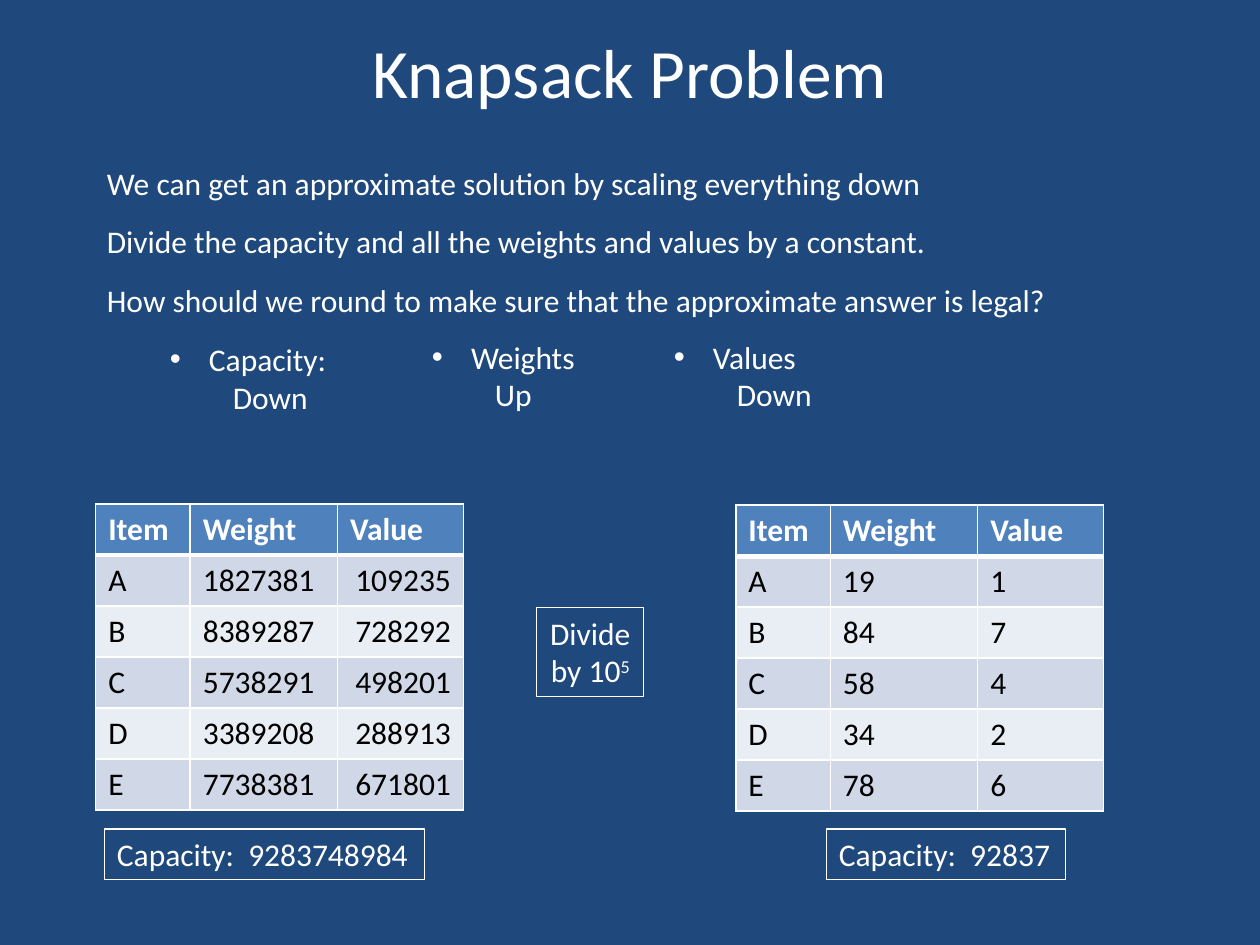
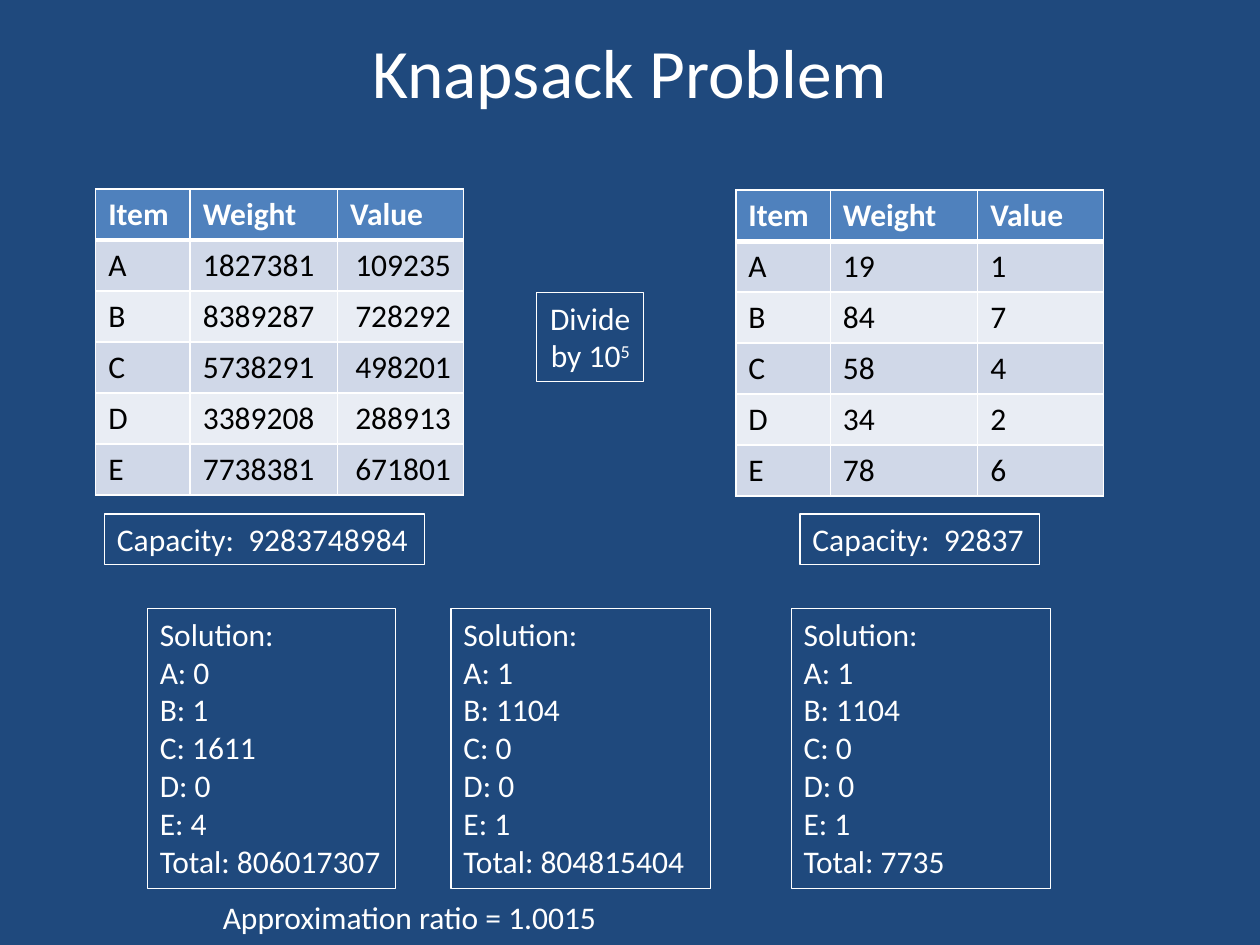
import pptx
import pptx.dml.color
import pptx.enum.shapes
import pptx.enum.text
import pptx.oxml
import pptx.oxml.ns
import pptx.util
from pptx.util import Inches

ALIGN = pptx.enum.text.PP_ALIGN
NAVY, WHITE, BLACK = "1F497D", "FFFFFF", "000000"
HEADER_FILL, BAND_FILLS = "4F81BD", ("D0D8E8", "E9EDF4")


def color(value):
    """Turn a hex string into a colour."""
    return pptx.dml.color.RGBColor.from_string(value)


def parse(tag, attributes="", content=""):
    """Make one drawing element from its tag, attributes and content."""
    namespace = pptx.oxml.ns.nsdecls("a")
    return pptx.oxml.parse_xml(f"<a:{tag} {namespace} {attributes}>{content}</a:{tag}>")


def set_borders(cell, top=1, bottom=1):
    """Draw white borders round a table cell, widths in points."""
    properties = cell._tc.get_or_add_tcPr()
    for side, width in zip("LRTB", (1, 1, top, bottom)):
        properties.append(parse(
            f"ln{side}", f'w="{pptx.util.Pt(width)}"',
            f'<a:solidFill><a:srgbClr val="{WHITE}"/></a:solidFill>'))


class KnapsackDeck:
    """Hold the deck, its style and the current slide."""

    font_name = "Calibri"
    body_size = 18

    def __init__(self):
        """Start an empty 4:3 deck."""
        self.deck = pptx.Presentation()
        self.deck.slide_width = Inches(10)
        self.deck.slide_height = Inches(7.5)
        self.page = None

    def add_page(self, title):
        """Add a navy page with a centred title."""
        self.page = self.deck.slides.add_slide(self.deck.slide_layouts[6])
        self.page.background.fill.solid()
        self.page.background.fill.fore_color.rgb = color(NAVY)
        box = self.text(title, 0.5, 0.17, 9, 0.78, size=39.6, align=ALIGN.CENTER)
        box.text_frame.vertical_anchor = pptx.enum.text.MSO_ANCHOR.MIDDLE

    def style(self, para, size=body_size, ink=WHITE, bold=False, align=None):
        """Format a paragraph and all its runs."""
        para.alignment = align or ALIGN.LEFT
        for span in para.runs:
            span.font.name = self.font_name
            span.font.size = pptx.util.Pt(size)
            span.font.bold = bold
            span.font.color.rgb = color(ink)

    def fill_text(self, box, words, wrap, **style):
        """Put styled words in a box, one paragraph a line."""
        frame = box.text_frame
        frame.text = words
        frame.word_wrap = wrap
        frame.vertical_anchor = pptx.enum.text.MSO_ANCHOR.TOP
        if not wrap:
            frame.auto_size = pptx.enum.text.MSO_AUTO_SIZE.SHAPE_TO_FIT_TEXT
        for para in frame.paragraphs:
            self.style(para, **style)
        return box

    def text(self, words, left, top, width, height, wrap=True, **style):
        """Add plain text without an outline."""
        box = self.page.shapes.add_textbox(
            Inches(left), Inches(top), Inches(width), Inches(height))
        return self.fill_text(box, words, wrap, **style)

    def framed(self, words, left, top, width, height, wrap=False, **style):
        """Add text inside a thin white outline."""
        box = self.page.shapes.add_shape(
            pptx.enum.shapes.MSO_SHAPE.RECTANGLE,
            Inches(left), Inches(top), Inches(width), Inches(height))
        box.shadow.inherit = False
        box.fill.background()
        box.line.color.rgb = color(WHITE)
        box.line.width = pptx.util.Pt(0.75)
        return self.fill_text(box, words, wrap, **style)

    def indent(self, heading, answer, margin, level=0):
        """Make a bulleted heading with its answer indented below."""
        heading.level, answer.level = level, level + 1
        properties = heading._p.get_or_add_pPr()
        properties.set("marL", str(Inches(margin)))
        properties.set("indent", str(Inches(-0.31)))
        properties.append(parse("buFont", 'typeface="Arial"'))
        properties.append(parse("buChar", 'char="•"'))
        answer._p.get_or_add_pPr().set("marL", str(Inches(margin + 0.19)))

    def bullet(self, words, left, width):
        """Add a bulleted heading and answer in a box of their own."""
        box = self.text(words, left, 2.63, width, 0.71, wrap=False)
        self.indent(*box.text_frame.paragraphs, margin=0.31)

    def table(self, rows, left, top, value_align):
        """Add an item table with a header and banded rows."""
        widths, row_height = (0.75, 1.17, 1), 0.405
        grid = self.page.shapes.add_table(
            len(rows), len(widths), Inches(left), Inches(top),
            Inches(sum(widths)), Inches(row_height * len(rows))).table
        grid.horz_banding = False
        for column, width in zip(grid.columns, widths):
            column.width = Inches(width)
        for r, row in enumerate(rows):
            header = r == 0
            for c, words in enumerate(row):
                cell = grid.cell(r, c)
                cell.text = words
                set_borders(cell, top=3 if r == 1 else 1, bottom=3 if header else 1)
                cell.fill.solid()
                cell.fill.fore_color.rgb = color(
                    HEADER_FILL if header else BAND_FILLS[(r - 1) % 2])
                self.style(cell.text_frame.paragraphs[0],
                           ink=WHITE if header else BLACK, bold=header,
                           align=value_align if c == 2 and not header else None)

    def scaling(self, top, scaled_left):
        """Show the exact and scaled problems side by side."""
        self.framed("Capacity:  9283748984", 0.83, top + 2.58, 2.54, 0.4)
        self.table(SCALED, 5.84, top + 0.01, ALIGN.LEFT)
        self.framed("Capacity:  92837", scaled_left, top + 2.58, 1.9, 0.4)
        step = self.framed("Divide\vby 10", 4.26, top + 0.82, 0.85, 0.71,
                           align=ALIGN.CENTER)
        para = step.text_frame.paragraphs[0]
        power = para.add_run()
        power.text = "5"
        self.style(para, align=ALIGN.CENTER)
        power.font._element.set("baseline", "30000")
        self.table(EXACT, 0.76, top, ALIGN.RIGHT)

    def solution(self, counts, total, left, width, wrap=True):
        """List how many of each item are taken, and the total."""
        a, b, c, d, e = (f"{item}: {count}" for item, count in zip("ABCDE", counts))
        lines = ["Solution:", "\v".join((a, b, c)), d, e, f"Total: {total}"]
        self.framed("\n".join(lines), left, 4.83, width, 2.22, wrap=wrap)


def item_rows(weights, values):
    """Join item names, weights and values under a header."""
    return [("Item", "Weight", "Value"), *zip("ABCDE", weights.split(), values.split())]


EXACT = item_rows("1827381 8389287 5738291 3389208 7738381",
                  "109235 728292 498201 288913 671801")
SCALED = item_rows("19 84 58 34 78", "1 7 4 2 6")
TITLE = "Knapsack Problem"

show = KnapsackDeck()

# Rounding
show.add_page(TITLE)
body = show.text(
    "We can get an approximate solution by scaling everything down\n"
    "Divide the capacity and all the weights and values by a constant.\n"
    "How should we round to make sure that the approximate answer is legal?\n"
    "Capacity:\nDown", 0.75, 1.25, 8.42, 3.77)
paragraphs = body.text_frame.paragraphs
for para in paragraphs[1:4]:
    para.space_before = pptx.util.Pt(12)
show.indent(*paragraphs[3:], margin=0.81, level=1)
show.bullet("Weights\nUp", 3.33, 1.35)
show.bullet("Values\nDown", 5.25, 1.31)
show.scaling(top=4, scaled_left=6.56)

# Solutions
show.add_page(TITLE)
show.scaling(top=1.5, scaled_left=6.35)
show.solution((0, 1, 1611, 0, 4), 806017307, 1.17, 1.97, wrap=False)
show.solution((1, 1104, 0, 0, 1), 7735, 6.28, 2.06)
show.solution((1, 1104, 0, 0, 1), 804815404, 3.58, 2.06)
show.text("Approximation ratio = 1.0015", 1.67, 7.08, 3.2, 0.4, wrap=False)

show.deck.save("out.pptx")
